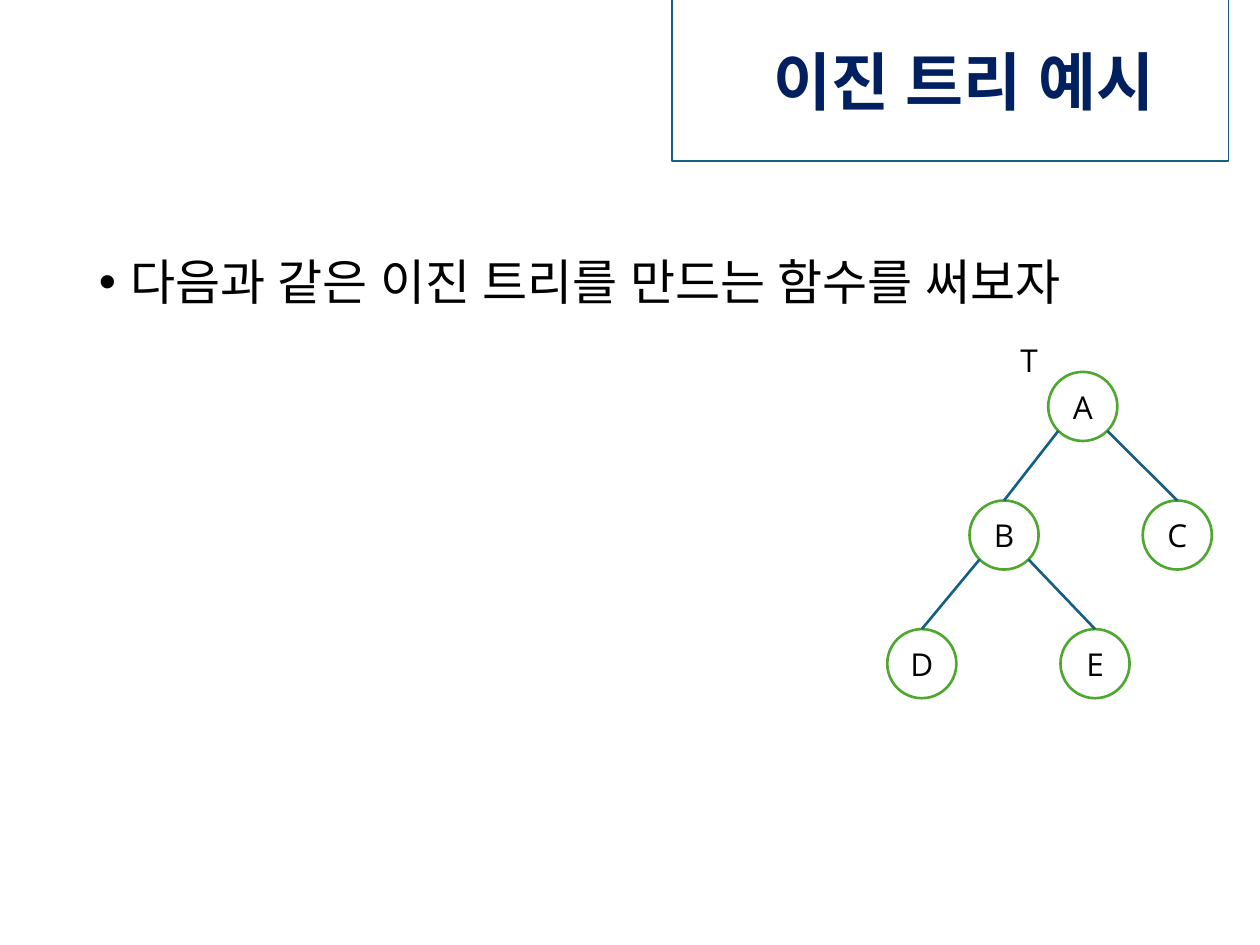
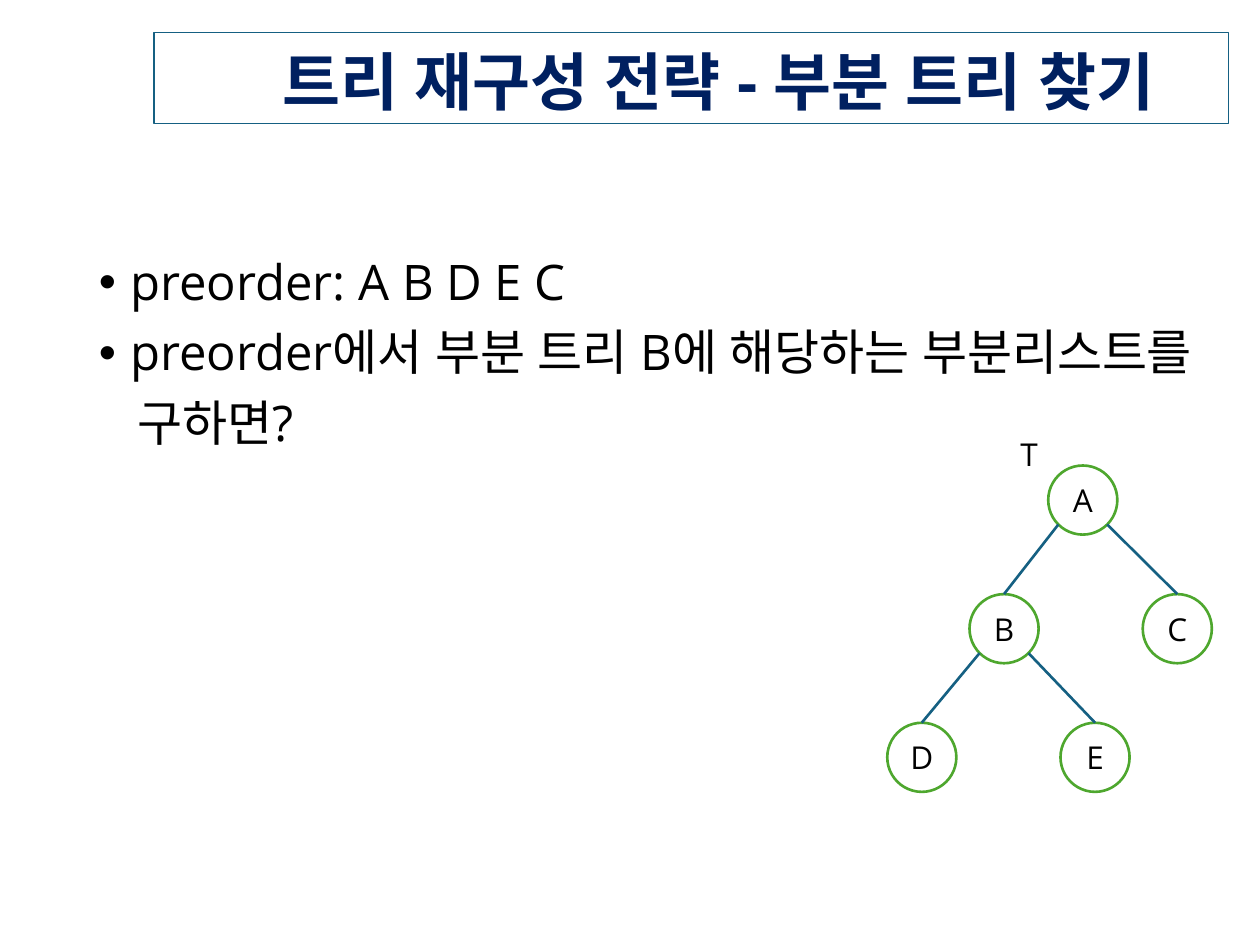
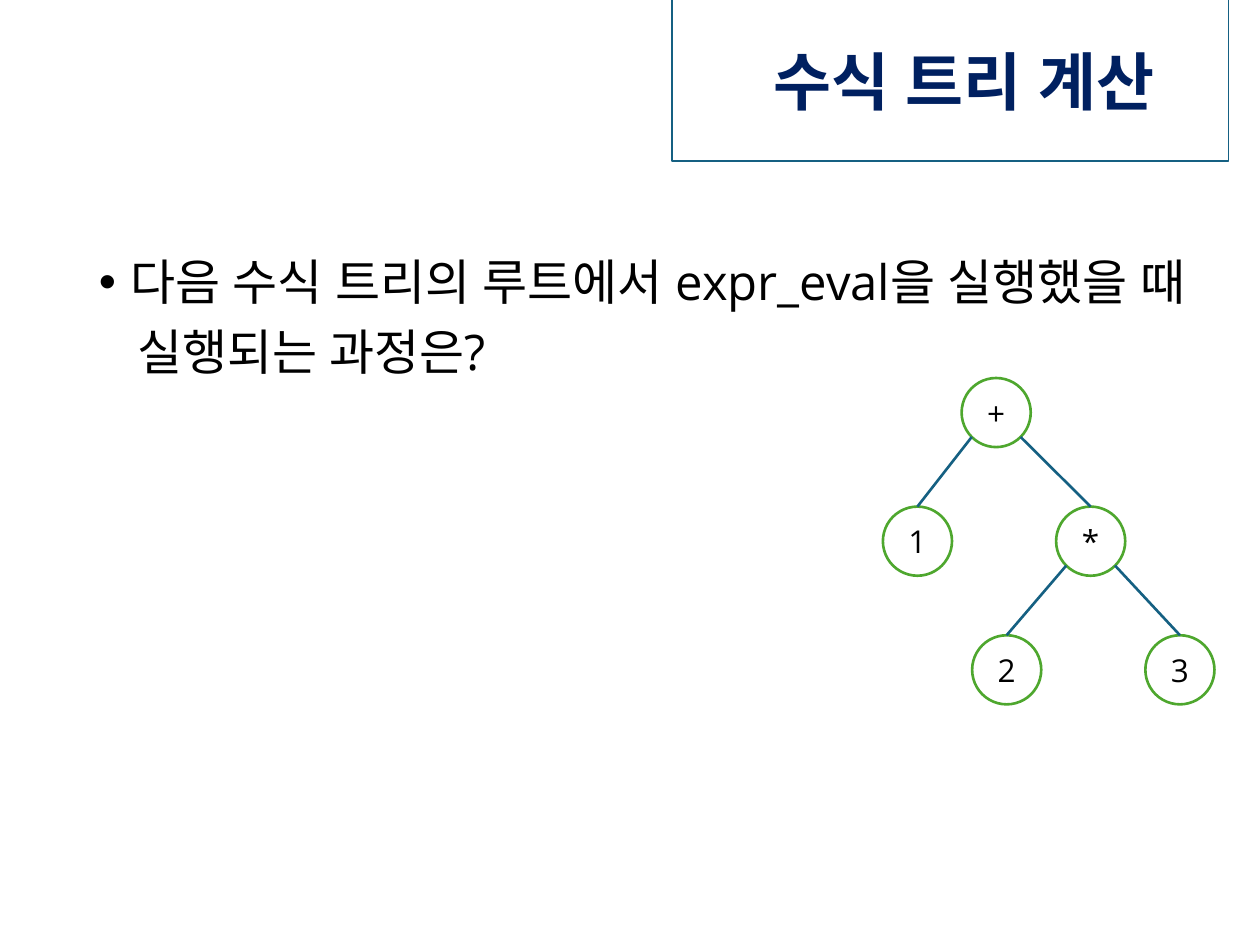
import math

import lxml.etree
import pptx
import pptx.dml.color
import pptx.enum.shapes
import pptx.enum.text
import pptx.oxml.ns
import pptx.util

Pt = pptx.util.Pt
Shape = pptx.enum.shapes.MSO_SHAPE
Align = pptx.enum.text.PP_ALIGN
Anchor = pptx.enum.text.MSO_ANCHOR
qn = pptx.oxml.ns.qn

# Content. Tree: root, then (parent, left child, right child, shift of left child).
LETTER_TREE = ("A", [("A", "B", "C", -45), ("B", "D", "E", -47)])
SUM_TREE = ("+", [("+", "1", "*", -45), ("*", "2", "3", -48)])
SLIDES = [
    {"title": "이진 트리 예시", "title_box": (384, -3, 318, 95),
     "body": [("•", "다음과 같은 이진 트리를 만드는 함수를 써보자")],
     "tree": LETTER_TREE, "root_at": (599, 212.5), "tag": "T"},
    {"title": "트리 재구성 전략 - 부분 트리 찾기", "title_box": (88, 18.5, 614, 52),
     "body": [("•", "preorder: A B D E C"),
              ("•", "preorder에서 부분 트리 B에 해당하는 부분리스트를"),
              ("", "구하면?")],
     "tree": LETTER_TREE, "root_at": (599, 266), "tag": "T"},
    {"title": "수식 트리 계산", "title_box": (384, -3, 318, 95),
     "body": [("•", "다음 수식 트리의 루트에서 expr_eval을 실행했을 때"),
              ("", "실행되는 과정은?")],
     "tree": SUM_TREE, "root_at": (549.5, 216), "tag": None},
]

# Shared style
FONT = "Open Sans"
NAVY, BLUE, GREEN, BLACK, WHITE = "002060", "156082", "4EA72E", "000000", "FFFFFF"
BODY_BOX = (49.5, 144, 670.5, 343)
NODE = 39.5            # node diameter
LEVEL_STEP = 73.5      # from one level down to the next
SIBLING_STEP = 99      # from left child to right child
BULLET_INDENT, PLAIN_INDENT = 18, 22


def rgb(value):
    return pptx.dml.color.RGBColor.from_string(value)


def style_line(line, color, width):
    line.color.rgb = rgb(color)
    line.width = Pt(width)


def style_text(p, size, color=BLACK, bold=False):
    for r in p.runs:
        r.font.name, r.font.size, r.font.bold = FONT, Pt(size), bold
        r.font.color.rgb = rgb(color)
        ea = lxml.etree.SubElement(r._r.get_or_add_rPr(), qn("a:ea"))
        ea.set("typeface", FONT)


def add_box(s, kind, box, line, width, fill=None):
    sp = s.shapes.add_shape(kind, *map(Pt, box))
    sp.shadow.inherit = False
    if fill:
        sp.fill.solid()
        sp.fill.fore_color.rgb = rgb(fill)
    else:
        sp.fill.background()
    style_line(sp.line, line, width)
    sp.text_frame.vertical_anchor = Anchor.MIDDLE
    return sp


def add_title(s, text, box):
    tf = add_box(s, Shape.RECTANGLE, box, BLUE, 0.75).text_frame
    tf.word_wrap = True
    tf.margin_left, tf.margin_right = Pt(0), Pt(42.5)
    tf.margin_top, tf.margin_bottom = Pt(8.5), Pt(0)
    tf.text = text
    p = tf.paragraphs[0]
    p.alignment, p.line_spacing = Align.RIGHT, 0.9
    style_text(p, 36, NAVY, True)


def add_body(s, items):
    tf = s.shapes.add_textbox(*map(Pt, BODY_BOX)).text_frame
    tf.word_wrap = True
    for i, (bullet, text) in enumerate(items):
        p = tf.add_paragraph() if i else tf.paragraphs[0]
        p.text = text
        p.line_spacing, p.space_before = 0.9, Pt(10)
        style_text(p, 28)
        pPr = p._p.get_or_add_pPr()
        pPr.set("marL", str(Pt(BULLET_INDENT if bullet else PLAIN_INDENT)))
        if bullet:
            pPr.set("indent", str(-Pt(BULLET_INDENT)))
            lxml.etree.SubElement(pPr, qn("a:buFont")).set("typeface", "Arial")
            lxml.etree.SubElement(pPr, qn("a:buChar")).set("char", bullet)


def add_node(s, label, x, y):
    sp = add_box(s, Shape.OVAL, (x, y, NODE, NODE), GREEN, 1.5, WHITE)
    sp.text_frame.text = label
    p = sp.text_frame.paragraphs[0]
    p.alignment = Align.CENTER
    style_text(p, 18)
    return sp


def add_edge(s, child, child_at, parent_at, side):
    """Join the top of a child to its parent's rim, 45 degrees below the middle."""
    radius = NODE / 2
    rim = radius * math.sqrt(0.5)
    ends = (child_at[0] + radius, child_at[1],
            parent_at[0] + radius + side * rim, parent_at[1] + radius + rim)
    line = s.shapes.add_connector(pptx.enum.shapes.MSO_CONNECTOR.STRAIGHT, *map(Pt, ends))
    line.begin_connect(child, 0)
    style_line(line.line, BLUE, 1.5)
    lxml.etree.SubElement(line._element.spPr, qn("a:effectLst"))


def add_tree(s, tree, root_at):
    root, families = tree
    places = {root: root_at}
    add_node(s, root, *root_at)
    for parent, left, right, shift in families:
        x, y = places[parent]
        for label, side, dx in ((left, -1, shift), (right, 1, shift + SIBLING_STEP)):
            places[label] = (x + dx, y + LEVEL_STEP)
            child = add_node(s, label, *places[label])
            add_edge(s, child, places[label], places[parent], side)


def add_tag(s, text, root_at):
    x, y = root_at
    tf = s.shapes.add_textbox(Pt(x - 23), Pt(y - 21), Pt(23), Pt(29)).text_frame
    tf.word_wrap = False
    tf.text = text
    style_text(tf.paragraphs[0], 18)


def main():
    prs = pptx.Presentation()
    prs.slide_width, prs.slide_height = Pt(720), Pt(540)
    for content in SLIDES:
        s = prs.slides.add_slide(prs.slide_layouts[6])
        add_title(s, content["title"], content["title_box"])
        add_body(s, content["body"])
        add_tree(s, content["tree"], content["root_at"])
        if content["tag"]:
            add_tag(s, content["tag"], content["root_at"])
    prs.save("out.pptx")


if __name__ == "__main__":
    main()
